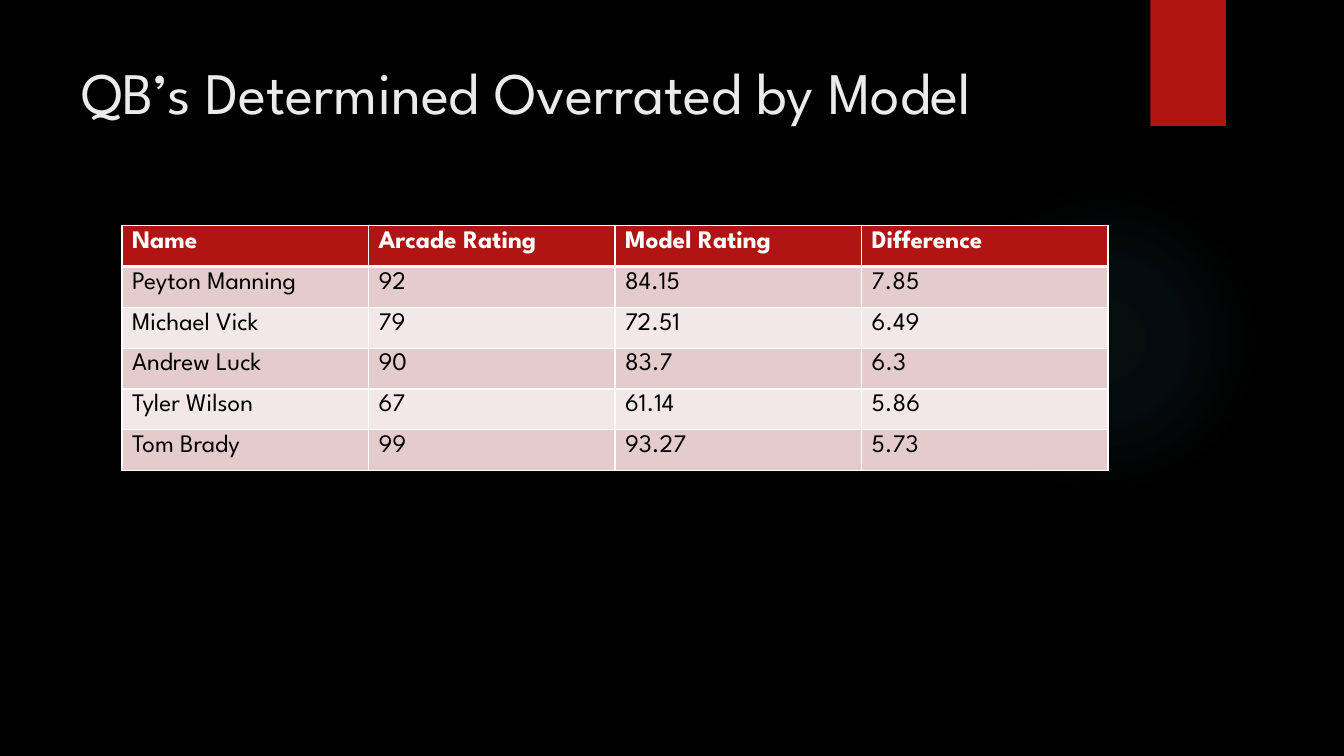
from dataclasses import dataclass

from lxml import etree
from pptx import Presentation
from pptx.dml.color import RGBColor
from pptx.enum import shapes, text
from pptx.oxml import ns
from pptx.util import Inches, Pt

FONT = "League Spartan"
BLACK = RGBColor(0x00, 0x00, 0x00)
WHITE = RGBColor(0xFF, 0xFF, 0xFF)
TITLE_GREY = RGBColor(0xEB, 0xEB, 0xEB)
RED = RGBColor(0xB0, 0x15, 0x13)
DARK_BAND = RGBColor(0xE4, 0xCC, 0xCC)
LIGHT_BAND = RGBColor(0xF2, 0xE8, 0xE7)
GLOW = RGBColor(0x50, 0xB9, 0xC1)

HEADINGS = ("Name", "Arcade Rating", "Model Rating", "Difference")


@dataclass(frozen=True)
class Quarterback:
    name: str
    game_rating: str
    model_rating: str
    difference: str

    def values(self) -> tuple[str, ...]:
        return self.name, self.game_rating, self.model_rating, self.difference


@dataclass(frozen=True)
class RowStyle:
    fill: RGBColor
    ink: RGBColor
    bold: bool


QUARTERBACKS = (
    Quarterback("Peyton Manning", "92", "84.15", "7.85"),
    Quarterback("Michael Vick", "79", "72.51", "6.49"),
    Quarterback("Andrew Luck", "90", "83.7", "6.3"),
    Quarterback("Tyler Wilson", "67", "61.14", "5.86"),
    Quarterback("Tom Brady", "99", "93.27", "5.73"),
)
HEADER = RowStyle(RED, WHITE, True)
BANDS = (RowStyle(DARK_BAND, BLACK, False), RowStyle(LIGHT_BAND, BLACK, False))


def add_glow(page) -> None:
    glow = page.shapes.add_shape(
        shapes.MSO_SHAPE.OVAL, Inches(9.41), Inches(1.83), Inches(3.08), Inches(3.08)
    )
    glow.shadow.inherit = False
    glow.line.fill.background()
    stops = "".join(
        f'<a:gs pos="{position * 1000}"><a:srgbClr val="{GLOW}">'
        f'<a:alpha val="{alpha * 1000}"/></a:srgbClr></a:gs>'
        for position, alpha in ((0, 7), (36, 6), (69, 0))
    )
    gradient = etree.fromstring(
        f'<a:gradFill {ns.nsdecls("a")}><a:gsLst>{stops}</a:gsLst>'
        '<a:path path="circle"><a:fillToRect l="50000" t="50000" r="50000" b="50000"/>'
        "</a:path></a:gradFill>"
    )
    glow.element.spPr.find(ns.qn("a:prstGeom")).addnext(gradient)


def add_ribbon(page) -> None:
    ribbon = page.shapes.add_shape(
        shapes.MSO_SHAPE.RECTANGLE, Inches(11.41), 0, Inches(0.75), Inches(1.25)
    )
    ribbon.shadow.inherit = False
    ribbon.fill.solid()
    ribbon.fill.fore_color.rgb = RED
    ribbon.line.fill.background()


def add_title(page, wording: str) -> None:
    box = page.shapes.add_textbox(Inches(0.71), Inches(0.5), Inches(10.29), Inches(1.53))
    frame = box.text_frame
    frame.word_wrap = True
    frame.vertical_anchor = text.MSO_ANCHOR.TOP
    para = frame.paragraphs[0]
    para.text = wording
    para.font.name = FONT
    para.font.size = Pt(42)
    para.font.color.rgb = TITLE_GREY


def set_borders(cell, bottom_width: int) -> None:
    properties = cell._tc.get_or_add_tcPr()
    widths = {"lnL": 1, "lnR": 1, "lnT": 1, "lnB": bottom_width}
    for index, (side, width) in enumerate(widths.items()):
        border = etree.fromstring(
            f'<a:{side} {ns.nsdecls("a")} w="{Pt(width)}"><a:solidFill>'
            f'<a:srgbClr val="{WHITE}"/></a:solidFill></a:{side}>'
        )
        properties.insert(index, border)


def fill_cell(cell, wording: str, style: RowStyle, bottom_width: int) -> None:
    cell.fill.solid()
    cell.fill.fore_color.rgb = style.fill
    para = cell.text_frame.paragraphs[0]
    para.text = wording
    para.font.name = FONT
    para.font.size = Pt(18)
    para.font.bold = style.bold
    para.font.color.rgb = style.ink
    set_borders(cell, bottom_width)


def add_ratings(page) -> None:
    rows = [HEADINGS, *(player.values() for player in QUARTERBACKS)]
    table = page.shapes.add_table(
        len(rows), len(HEADINGS), Inches(1.21), Inches(2.24), Inches(9.78), Inches(2.43)
    ).table
    for row_index, values in enumerate(rows):
        is_header = row_index == 0
        style = HEADER if is_header else BANDS[(row_index - 1) % 2]
        for column_index, wording in enumerate(values):
            cell = table.cell(row_index, column_index)
            fill_cell(cell, wording, style, 3 if is_header else 1)


def main() -> None:
    deck = Presentation()
    deck.slide_width = Inches(13.33)
    deck.slide_height = Inches(7.5)
    page = deck.slides.add_slide(deck.slide_layouts[6])
    page.background.fill.solid()
    page.background.fill.fore_color.rgb = BLACK
    add_glow(page)
    add_ribbon(page)
    add_title(page, "QB’s Determined Overrated by Model")
    add_ratings(page)
    deck.save("out.pptx")


if __name__ == "__main__":
    main()
